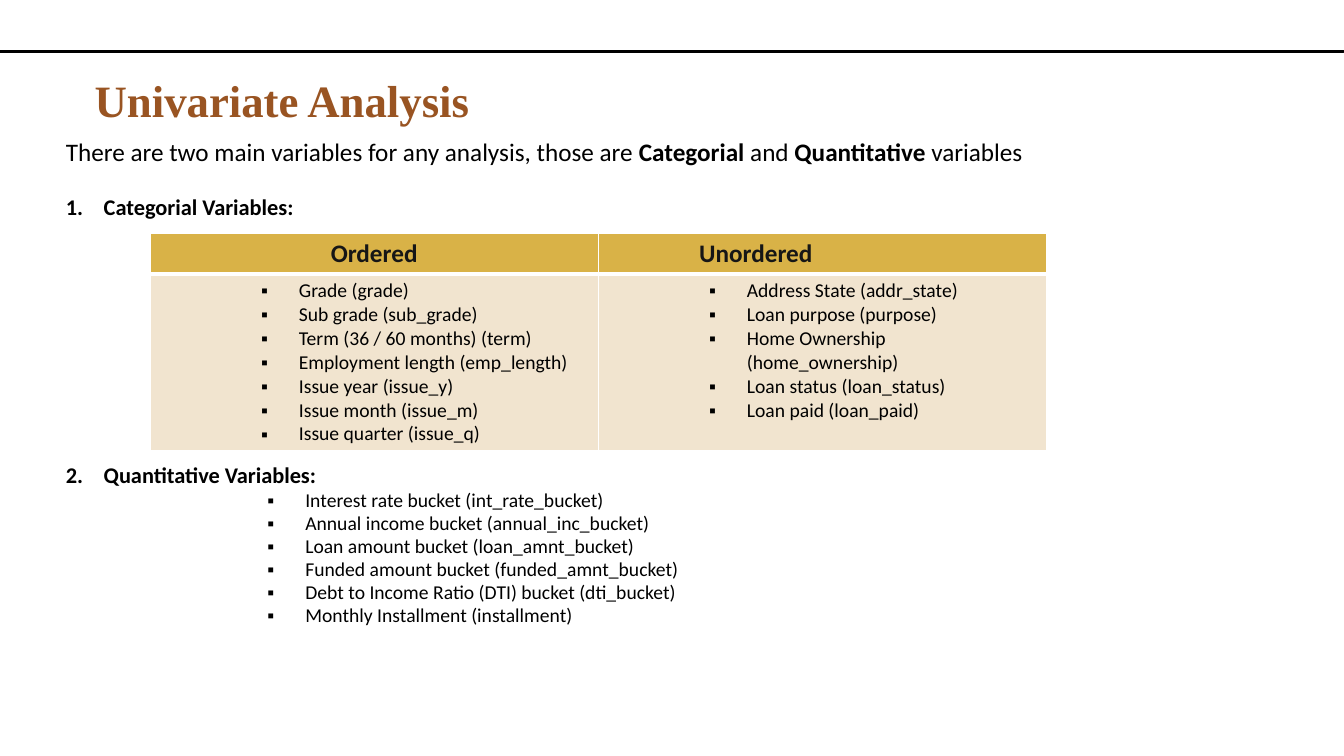
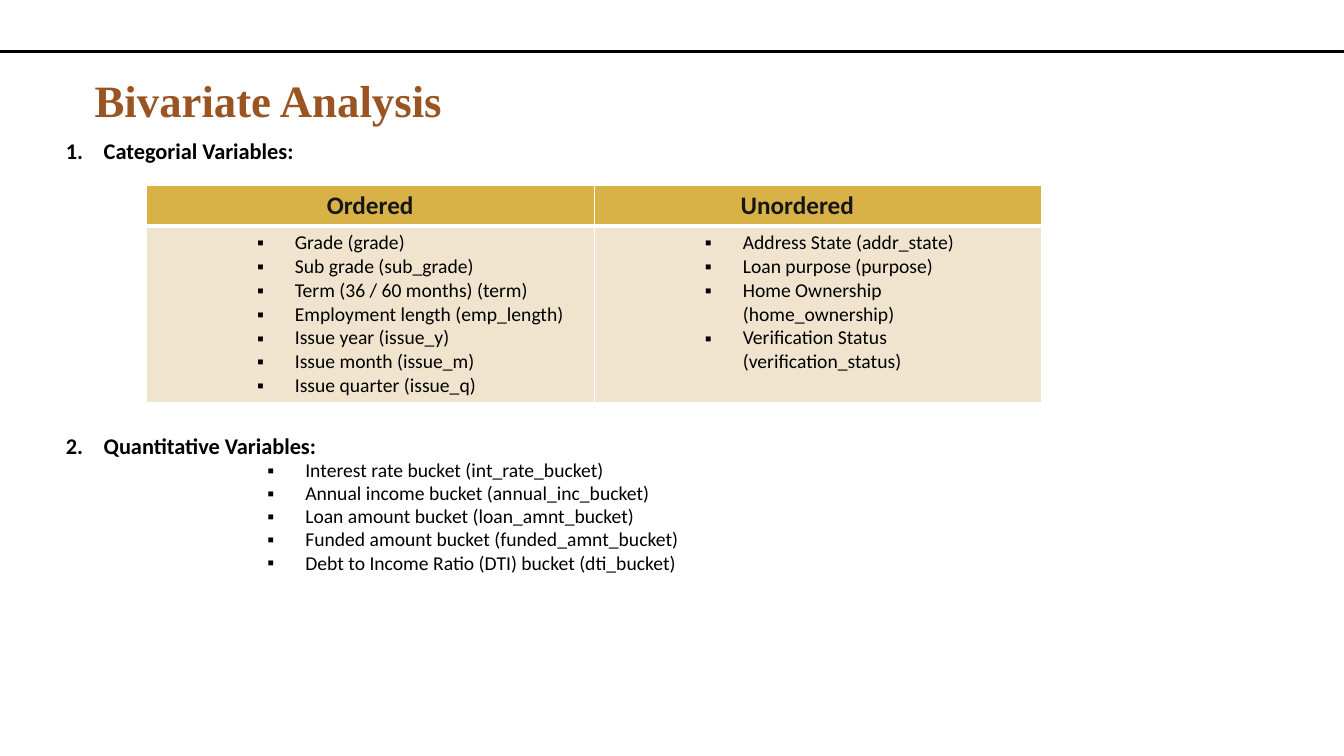
from dataclasses import dataclass, field

from lxml.etree import SubElement
from pptx import Presentation
from pptx.dml.color import RGBColor
from pptx.enum.shapes import MSO_SHAPE
from pptx.enum.text import MSO_AUTO_SIZE, PP_ALIGN
from pptx.oxml.ns import qn
from pptx.util import Pt


# Theme: colours, fonts and type sizes
@dataclass(frozen=True)
class Theme:
    title_color: str = "995422"
    ink: str = "000000"
    header_ink: str = "161616"
    header_fill: str = "D9B247"
    body_fill: str = "F1E4CF"
    border: str = "FFFFFF"
    title_font: str = "Times New Roman"
    body_font: str = "Calibri"
    title_size: float = 32
    lead_size: float = 18
    heading_size: float = 16
    item_size: float = 14
    body_spacing: float = 0.98
    blank_line: float = 19.2
    hanging: float = 27
    cell_indent: float = 99
    list_indent: float = 171


THEME = Theme()


@dataclass(frozen=True)
class Span:
    text: str
    size: float = THEME.item_size
    bold: bool = False
    color: str = THEME.ink
    font: str = THEME.body_font


@dataclass(frozen=True)
class Line:
    spans: list[Span]
    bullet: str = ""  # "" for none, "1." for numbering, else the bullet character
    indent: float = 0
    level: int = 0
    formats: dict = field(default_factory=dict)


@dataclass(frozen=True)
class AnalysisPage:
    title: str
    lead: list[Span]
    lines_before_quantitative: int
    body_height: float
    table_left: float
    table_top: float
    unordered_indent: float
    unordered: list[str]
    quantitative: list[str]


# Content
ORDERED = [
    "Grade (grade)",
    "Sub grade (sub_grade)",
    "Term (36 / 60 months) (term)",
    "Employment length (emp_length)",
    "Issue year (issue_y)",
    "Issue month (issue_m)",
    "Issue quarter (issue_q)",
]
UNORDERED = [
    "Address State (addr_state)",
    "Loan purpose (purpose)",
    "Home Ownership (home_ownership)",
]
BUCKETS = [
    "Interest rate bucket (int_rate_bucket)",
    "Annual income bucket (annual_inc_bucket)",
    "Loan amount bucket (loan_amnt_bucket)",
    "Funded amount bucket (funded_amnt_bucket)",
    "Debt to Income Ratio (DTI) bucket (dti_bucket)",
]
LEAD = [
    Span("There are two main variables for any analysis, those are ", THEME.lead_size),
    Span("Categorial", THEME.lead_size, True),
    Span(" and ", THEME.lead_size),
    Span("Quantitative", THEME.lead_size, True),
    Span(" variables", THEME.lead_size),
]
PAGES = [
    AnalysisPage(
        "Univariate Analysis", LEAD, 9, 417, 107.3, 167, 65,
        UNORDERED + ["Loan status (loan_status)", "Loan paid (loan_paid)"],
        BUCKETS + ["Monthly Installment (installment)"],
    ),
    AnalysisPage(
        "Bivariate Analysis", [], 10, 363.6, 104.4, 132.5, 97.5,
        UNORDERED + ["Verification Status (verification_status)"],
        BUCKETS,
    ),
]


# Text helpers
def set_bullet(para, bullet: str) -> None:
    properties = para._p.get_or_add_pPr()
    if bullet == "1.":
        SubElement(properties, qn("a:buFont"), typeface="+mj-lt")
        SubElement(properties, qn("a:buAutoNum"), type="arabicPeriod")
    else:
        SubElement(properties, qn("a:buFont"), typeface="Arial")
        SubElement(properties, qn("a:buChar"), char=bullet)


def write_lines(frame, lines: list[Line]) -> None:
    frame.word_wrap = True
    for index, line in enumerate(lines):
        para = frame.add_paragraph() if index else frame.paragraphs[0]
        para.level = line.level
        for name, value in line.formats.items():
            setattr(para, name, value)
        properties = para._p.get_or_add_pPr()
        properties.set("marL", str(Pt(line.indent)))
        properties.set("indent", str(-Pt(THEME.hanging) if line.bullet else 0))
        if line.bullet:
            set_bullet(para, line.bullet)
        for span in line.spans:
            run = para.add_run()
            run.text = span.text
            formats = {"size": Pt(span.size), "bold": span.bold, "name": span.font}
            for name, value in formats.items():
                setattr(run.font, name, value)
            run.font.color.rgb = RGBColor.from_string(span.color)


def add_text(page, left: float, top: float, width: float, height: float,
             lines: list[Line]) -> None:
    box = page.shapes.add_textbox(Pt(left), Pt(top), Pt(width), Pt(height))
    box.text_frame.auto_size = MSO_AUTO_SIZE.SHAPE_TO_FIT_TEXT
    write_lines(box.text_frame, lines)


def item_lines(items: list[str], indent: float, level: int, formats: dict) -> list[Line]:
    return [Line([Span(item)], "▪", indent, level, formats) for item in items]


def heading_line(text: str, blank_lines: int) -> Line:
    formats = {"line_spacing": THEME.body_spacing}
    if blank_lines:
        formats["space_before"] = Pt(blank_lines * THEME.blank_line)
    return Line([Span(text, THEME.heading_size, True)], "1.", THEME.hanging, 0, formats)


# Table helpers
def set_cell(cell, fill: str, borders: dict[str, float], lines: list[Line]) -> None:
    properties = cell._tc.get_or_add_tcPr()
    for side, width in borders.items():
        edge = SubElement(properties, qn(f"a:ln{side}"), w=str(Pt(width)))
        SubElement(SubElement(edge, qn("a:solidFill")), qn("a:srgbClr"), val=THEME.border)
    cell.fill.solid()
    cell.fill.fore_color.rgb = RGBColor.from_string(fill)
    write_lines(cell.text_frame, lines)


def add_variable_table(page, content: AnalysisPage) -> None:
    column_width, row_heights = 320, (27.4, 126)
    table = page.shapes.add_table(
        2, 2, Pt(content.table_left), Pt(content.table_top),
        Pt(2 * column_width), Pt(sum(row_heights)),
    ).table
    for row, height in zip(table.rows, row_heights):
        row.height = Pt(height)
    headers = [
        ("Ordered", 0, {"alignment": PP_ALIGN.CENTER}),
        ("Unordered", content.unordered_indent, {}),
    ]
    columns = zip(headers, (ORDERED, content.unordered))
    for index, ((label, indent, formats), items) in enumerate(columns):
        table.columns[index].width = Pt(column_width)
        span = Span(label, THEME.lead_size, True, THEME.header_ink)
        set_cell(table.cell(0, index), THEME.header_fill,
                 {"L": 1, "R": 1, "T": 1, "B": 3},
                 [Line([span], indent=indent, formats=formats)])
        set_cell(table.cell(1, index), THEME.body_fill,
                 {"L": 1, "R": 1, "T": 3, "B": 1},
                 item_lines(items, THEME.cell_indent, 2, {}))


# Parts shared by every page
def add_title_and_rule(page, title: str) -> None:
    span = Span(title, THEME.title_size, True, THEME.title_color, THEME.title_font)
    add_text(page, 60.5, 48.2, 611, 46, [Line([span])])
    rule = page.shapes.add_shape(MSO_SHAPE.RECTANGLE, Pt(0), Pt(36), Pt(960), Pt(1.44))
    rule.shadow.inherit = False
    rule.fill.solid()
    for color in (rule.fill.fore_color, rule.line.color):
        color.rgb = RGBColor.from_string(THEME.ink)
    rule.line.width = Pt(0.75)


def add_page(deck, content: AnalysisPage) -> None:
    page = deck.slides.add_slide(deck.slide_layouts[6])
    add_title_and_rule(page, content.title)
    spacing = {"line_spacing": THEME.body_spacing}
    lines = [Line(content.lead, formats=spacing)] if content.lead else []
    lines += [
        heading_line("Categorial Variables:", len(lines)),
        heading_line("Quantitative Variables:", content.lines_before_quantitative),
        *item_lines(content.quantitative, THEME.list_indent, 4, spacing),
    ]
    add_text(page, 40, 95, 880, content.body_height, lines)
    add_variable_table(page, content)


def main() -> None:
    deck = Presentation()
    deck.slide_width, deck.slide_height = Pt(960), Pt(540)
    for content in PAGES:
        add_page(deck, content)
    deck.save("out.pptx")


if __name__ == "__main__":
    main()
